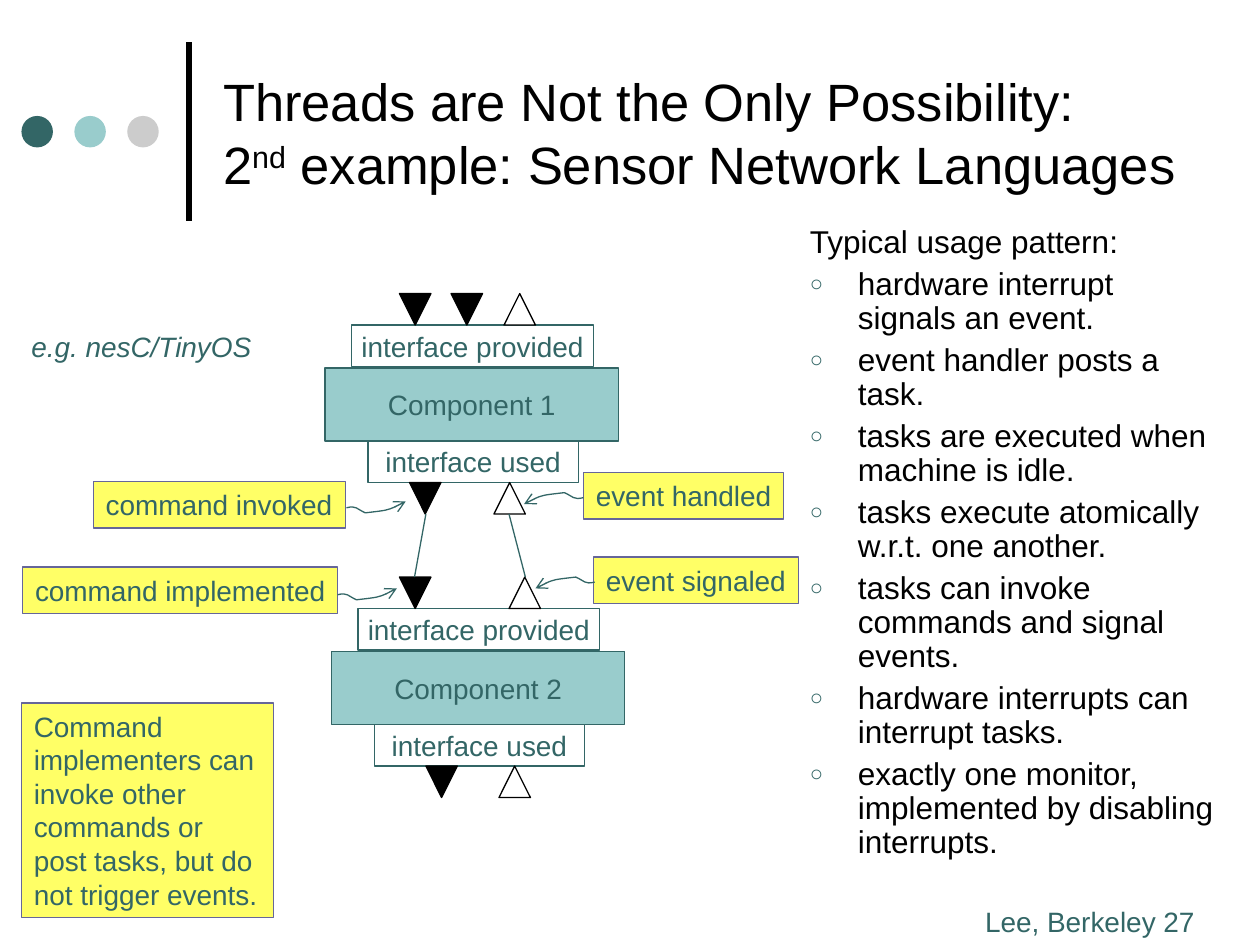
from lxml.etree import SubElement
from pptx import Presentation
from pptx.dml.color import RGBColor
from pptx.enum.shapes import MSO_CONNECTOR, MSO_SHAPE
from pptx.enum.text import MSO_ANCHOR, MSO_AUTO_SIZE, PP_ALIGN
from pptx.oxml.ns import qn
from pptx.util import Inches, Pt

TEAL, AQUA, GREY = "336666", "99CCCC", "CCCCCC"
BLACK, WHITE, YELLOW, VIOLET = "000000", "FFFFFF", "FFFF66", "666699"
WAVE = [(0.08, -0.02), (0.08, 0.01), (0.15, 0.04), (0.32, 0.02), (0.34, 0.02), (0.47, -0.05)]
USAGE = [
    "hardware interrupt signals an event.",
    "event handler posts a task.",
    "tasks are executed when machine is idle.",
    "tasks execute atomically w.r.t. one another.",
    "tasks can invoke commands and signal events.",
    "hardware interrupts can interrupt tasks.",
    "exactly one monitor, implemented by disabling interrupts.",
]


def rgb(value):
    return RGBColor.from_string(value)


def write(paragraph, text, size=16, color=TEAL, italic=False, align=PP_ALIGN.LEFT, baseline=0):
    paragraph.alignment = align
    run = paragraph.add_run()
    run.text = text
    run.font.name = "Arial"
    run.font.size = Pt(size)
    run.font.italic = italic
    run.font.color.rgb = rgb(color)
    if baseline:
        run._r.get_or_add_rPr().set("baseline", str(baseline * 1000))


class Sketch:
    """Draws the parts of the component diagram on one slide in a shared style."""

    def __init__(self, slide):
        self.slide = slide
        self.shapes = slide.shapes

    def outline(self, part, color, width=0.75):
        part.line.color.rgb = rgb(color)
        part.line.width = Pt(width)

    def shape(self, kind, x, y, w, h, fill, line=None):
        part = self.shapes.add_shape(kind, Inches(x), Inches(y), Inches(w), Inches(h))
        part.shadow.inherit = False
        part.fill.solid()
        part.fill.fore_color.rgb = rgb(fill)
        if line:
            self.outline(part, line)
        else:
            part.line.fill.background()
        return part

    def box(self, text, x, y, w, h, fill, line=TEAL, align=PP_ALIGN.CENTER,
            anchor=MSO_ANCHOR.MIDDLE, wrap=False):
        frame = self.shape(MSO_SHAPE.RECTANGLE, x, y, w, h, fill, line).text_frame
        frame.word_wrap = wrap
        frame.vertical_anchor = anchor
        write(frame.paragraphs[0], text, align=align)

    def note(self, text, x, y, w, h=0.37, wrap=False):
        self.box(text, x, y, w, h, YELLOW, VIOLET, PP_ALIGN.LEFT, MSO_ANCHOR.TOP, wrap)

    def label(self, x, y, w, h):
        frame = self.shapes.add_textbox(Inches(x), Inches(y), Inches(w), Inches(h)).text_frame
        frame.word_wrap = True
        return frame

    def line(self, x1, y1, x2, y2, color=TEAL, width=0.75):
        link = self.shapes.add_connector(
            MSO_CONNECTOR.STRAIGHT, Inches(x1), Inches(y1), Inches(x2), Inches(y2))
        self.outline(link, color, width)
        SubElement(link._element.spPr, qn("a:effectLst"))

    def event(self, x, y):
        self.shape(MSO_SHAPE.ISOSCELES_TRIANGLE, x, y, 0.25, 0.25, WHITE, BLACK)

    def command(self, x, y):
        triangle = self.shape(MSO_SHAPE.ISOSCELES_TRIANGLE, x, y, 0.25, 0.25, BLACK, BLACK)
        triangle._element.spPr.get_or_add_xfrm().set("flipV", "1")

    def component(self, name, x, y, provided, used):
        self.box(name, x, y, 2.33, 0.58, AQUA)
        self.box("interface used", x + 0.34, y + 0.58, 1.67, 0.33, WHITE)
        self.box("interface provided", x + 0.21, y - 0.34, 1.92, 0.33, WHITE)
        for (commands, event), top in ((provided, y - 0.59), (used, y + 0.91)):
            self.event(event, top)
            for command in commands:
                self.command(command, top)

    def pointer(self, x, y, direction):
        builder = self.shapes.build_freeform(Inches(x), Inches(y))
        builder.add_line_segments(
            [(Inches(x + direction * dx), Inches(y + direction * dy)) for dx, dy in WAVE],
            close=False)
        wave = builder.convert_to_shape()
        wave.shadow.inherit = False
        wave.fill.background()
        self.outline(wave, TEAL)
        segments = list(wave._element.iter(qn("a:lnTo")))
        outline = segments[0].getparent()
        for start in range(0, len(segments), 3):
            curve = SubElement(outline, qn("a:cubicBezTo"))
            for segment in segments[start:start + 3]:
                curve.append(segment[0])
                outline.remove(segment)
        SubElement(wave.line._get_or_add_ln(), qn("a:tailEnd"), type="arrow")

    def title(self, x, y, w, h):
        heading = self.shapes.title
        heading.left, heading.top = Inches(x), Inches(y)
        heading.width, heading.height = Inches(w), Inches(h)
        frame = heading.text_frame
        frame.auto_size = MSO_AUTO_SIZE.NONE
        frame.vertical_anchor = MSO_ANCHOR.MIDDLE
        paragraph = frame.paragraphs[0]
        style = {"size": 30, "color": BLACK}
        write(paragraph, "Threads are Not the Only Possibility:", **style)
        paragraph.add_line_break()
        write(paragraph, "2", **style)
        write(paragraph, "nd", baseline=30, **style)
        write(paragraph, " example: Sensor Network Languages", **style)

    def bullets(self, heading, items, x, y, w, h):
        frame = self.label(x, y, w, h)
        intro = frame.paragraphs[0]
        intro.line_spacing = 0.9
        write(intro, heading, size=18, color=BLACK)
        for item in items:
            paragraph = frame.add_paragraph()
            properties = paragraph._p.get_or_add_pPr()
            properties.set("marL", str(Inches(0.38)))
            properties.set("indent", str(-Inches(0.38)))
            SubElement(SubElement(properties, qn("a:buClr")), qn("a:srgbClr"), val=TEAL)
            SubElement(properties, qn("a:buSzPct"), val="70000")
            SubElement(properties, qn("a:buFont"), typeface="Arial")
            SubElement(properties, qn("a:buChar"), char="○")
            paragraph.line_spacing = 0.9
            paragraph.space_before = Pt(4.5)
            write(paragraph, item, size=18, color=BLACK)


def main():
    deck = Presentation()
    deck.slide_width, deck.slide_height = Inches(10), Inches(7.5)
    sketch = Sketch(deck.slides.add_slide(deck.slide_layouts[5]))

    sketch.line(1.5, 1.75, 1.5, 0.33, BLACK, 3)
    for column, color in enumerate((TEAL, AQUA, GREY)):
        sketch.shape(MSO_SHAPE.OVAL, 0.17 + 0.42 * column, 0.92, 0.25, 0.25, color)
    sketch.title(1.67, 0.21, 8.08, 1.67)
    write(sketch.label(7.72, 7.13, 2.63, 0.37).paragraphs[0], "Lee, Berkeley 27")

    sketch.component("Component 1", 2.58, 2.92, ([3.17, 3.58], 4), ([3.25], 3.92))
    sketch.component("Component 2", 2.63, 5.17, ([3.17], 4.04), ([3.38], 3.96))
    sketch.line(3.38, 4.08, 3.29, 4.58)
    sketch.line(4.04, 4.08, 4.17, 4.58)

    sketch.note("command invoked", 0.74, 3.82, 2)
    sketch.note("command implemented", 0.18, 4.5, 2.5)
    sketch.note("event signaled", 4.71, 4.42, 1.63)
    sketch.note("event handled", 4.63, 3.75, 1.59)
    for x, y, direction in ((2.75, 4.03, 1), (2.68, 4.72, 1), (4.72, 4.62, -1), (4.63, 3.95, -1)):
        sketch.pointer(x, y, direction)

    sketch.bullets("Typical usage pattern:", USAGE, 6.33, 1.75, 3.42, 5.33)
    sketch.note("Command implementers can invoke other commands or post tasks, "
                "but do not trigger events.", 0.17, 5.58, 2, 1.7, wrap=True)
    write(sketch.label(0.15, 2.57, 1.95, 0.37).paragraphs[0], "e.g. nesC/TinyOS", italic=True)
    deck.save("out.pptx")


if __name__ == "__main__":
    main()
